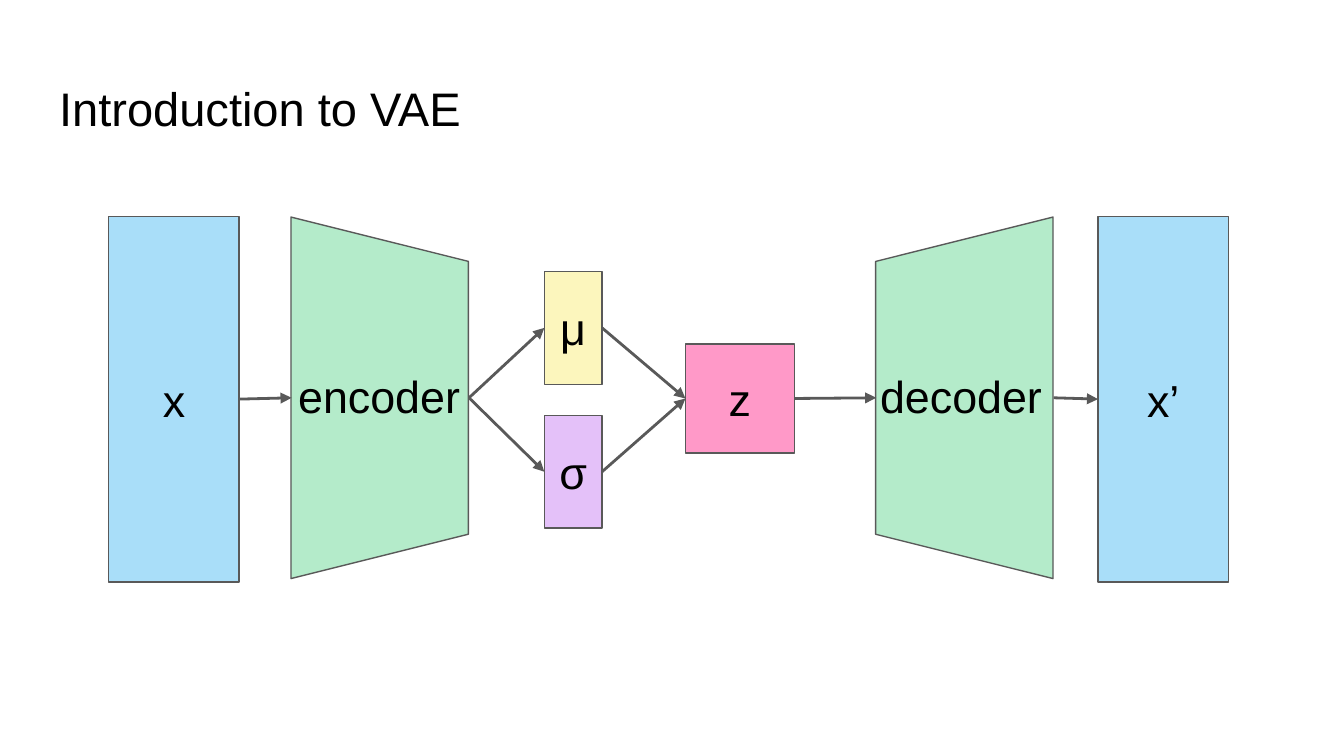
import pptx
import pptx.util
import pptx.dml.color
import pptx.enum.shapes
import pptx.enum.text
import pptx.oxml
import pptx.oxml.ns

Inches = pptx.util.Inches
RGBColor = pptx.dml.color.RGBColor
SHAPE = pptx.enum.shapes.MSO_SHAPE
ALIGN = pptx.enum.text.PP_ALIGN
ANCHOR = pptx.enum.text.MSO_ANCHOR

BLACK = RGBColor(0x00, 0x00, 0x00)
GREY = RGBColor(0x59, 0x59, 0x59)
BLUE = RGBColor(0xA9, 0xDE, 0xF9)
GREEN = RGBColor(0xB4, 0xEB, 0xCA)
YELLOW = RGBColor(0xFC, 0xF6, 0xBD)
PURPLE = RGBColor(0xE4, 0xC1, 0xF9)
PINK = RGBColor(0xFF, 0x99, 0xC8)

LEFT, RIGHT = 1, 3  # connection sites of a rectangle
MIDDLE = 2.96


def write(shape, text, size, align, anchor):
    frame = shape.text_frame
    frame_format = {"word_wrap": True, "vertical_anchor": anchor,
                    "auto_size": pptx.enum.text.MSO_AUTO_SIZE.NONE}
    for side in ("left", "top", "right", "bottom"):
        frame_format["margin_" + side] = Inches(0.1)
    for name, value in frame_format.items():
        setattr(frame, name, value)
    para = frame.paragraphs[0]
    para.alignment = align
    span = para.add_run()
    span.text = text
    for name, value in {"name": "Arial", "size": pptx.util.Pt(size)}.items():
        setattr(span.font, name, value)
    span.font.color.rgb = BLACK


def add_block(kind, left, top, width, height, color):
    shape = page.shapes.add_shape(
        kind, Inches(left), Inches(top), Inches(width), Inches(height))
    shape.shadow.inherit = False
    shape.fill.solid()
    shape.fill.fore_color.rgb = color
    shape.line.color.rgb = GREY
    shape.line.width = pptx.util.Pt(0.75)
    return shape


deck = pptx.Presentation()
deck.slide_width = Inches(10)
deck.slide_height = Inches(10 * 9 / 16)
page = deck.slides.add_slide(deck.slide_layouts[5])

title = page.shapes.title
title_place = {"left": 0.34, "top": 0.49, "width": 9.32, "height": 0.63}
for name, value in title_place.items():
    setattr(title, name, Inches(value))
write(title, "Introduction to VAE", 25.2, ALIGN.LEFT, ANCHOR.TOP)

# Input, latent variables and output
boxes = {}
for text, left, top, width, height, color in [
    ("x", 0.81, 1.61, 0.97, 2.72, BLUE),
    ("x’", 8.17, 1.61, 0.97, 2.72, BLUE),
    ("μ", 4.05, 2.02, 0.43, 0.84, YELLOW),
    ("σ", 4.05, 3.09, 0.43, 0.84, PURPLE),
    ("z", 5.1, 2.56, 0.81, 0.81, PINK),
]:
    boxes[text] = add_block(SHAPE.RECTANGLE, left, top, width, height, color)
    write(boxes[text], text, 24, ALIGN.CENTER, ANCHOR.MIDDLE)

# Encoder and decoder, turned so that their narrow sides face each other
for left, rotation in [(1.48, 90), (5.83, 270)]:
    trapezoid = add_block(SHAPE.TRAPEZOID, left, 2.3, 2.69, 1.32, GREEN)
    trapezoid.rotation = rotation
    trapezoid.adjustments[0] = 0.25

# An end is a box with one of its sides, or the x of a trapezoid's edge
for start, end in [
    (("x", RIGHT), 2.17),
    (3.49, ("μ", LEFT)),
    (3.49, ("σ", LEFT)),
    (("μ", RIGHT), ("z", LEFT)),
    (("σ", RIGHT), ("z", LEFT)),
    (("z", RIGHT), 6.52),
    (7.84, ("x’", LEFT)),
]:
    start_x, end_x = (Inches(point) if isinstance(point, float) else 0
                      for point in (start, end))
    arrow = page.shapes.add_connector(
        pptx.enum.shapes.MSO_CONNECTOR.STRAIGHT,
        start_x, Inches(MIDDLE), end_x, Inches(MIDDLE))
    for point, connect in [(start, arrow.begin_connect), (end, arrow.end_connect)]:
        if isinstance(point, tuple):
            connect(boxes[point[0]], point[1])
    arrow.line.color.rgb = GREY
    arrow.line.width = pptx.util.Pt(1.5)
    head = pptx.oxml.parse_xml(
        '<a:tailEnd %s type="triangle"/>' % pptx.oxml.ns.nsdecls("a"))
    arrow.line._get_or_add_ln().append(head)
    arrow._element.spPr.append(pptx.oxml.parse_xml(
        "<a:effectLst %s/>" % pptx.oxml.ns.nsdecls("a")))

for text, left, width in [("encoder", 2.12, 1.42), ("decoder", 6.45, 1.46)]:
    label = page.shapes.add_textbox(
        Inches(left), Inches(2.64), Inches(width), Inches(0.45))
    write(label, text, 24, ALIGN.LEFT, ANCHOR.TOP)

deck.save("out.pptx")
